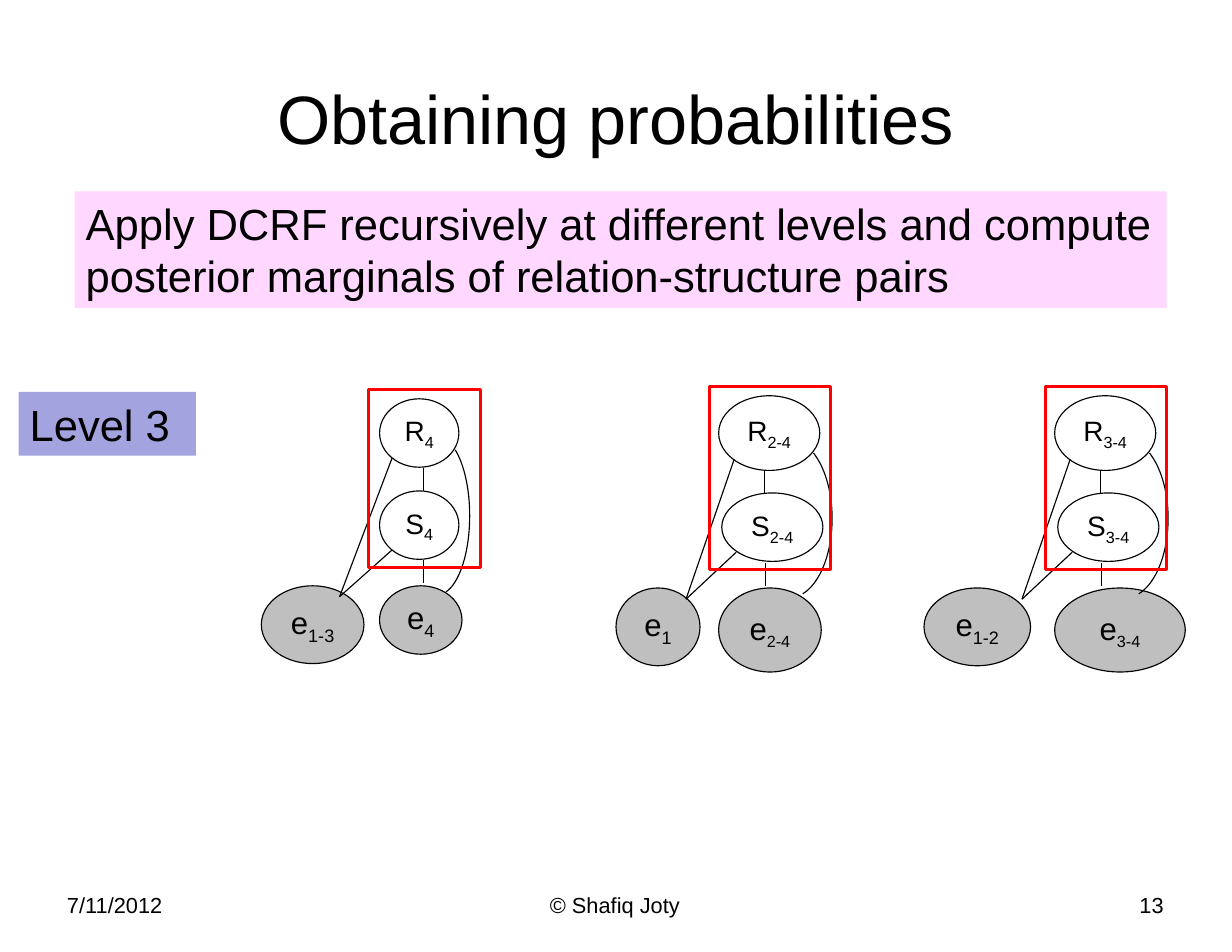
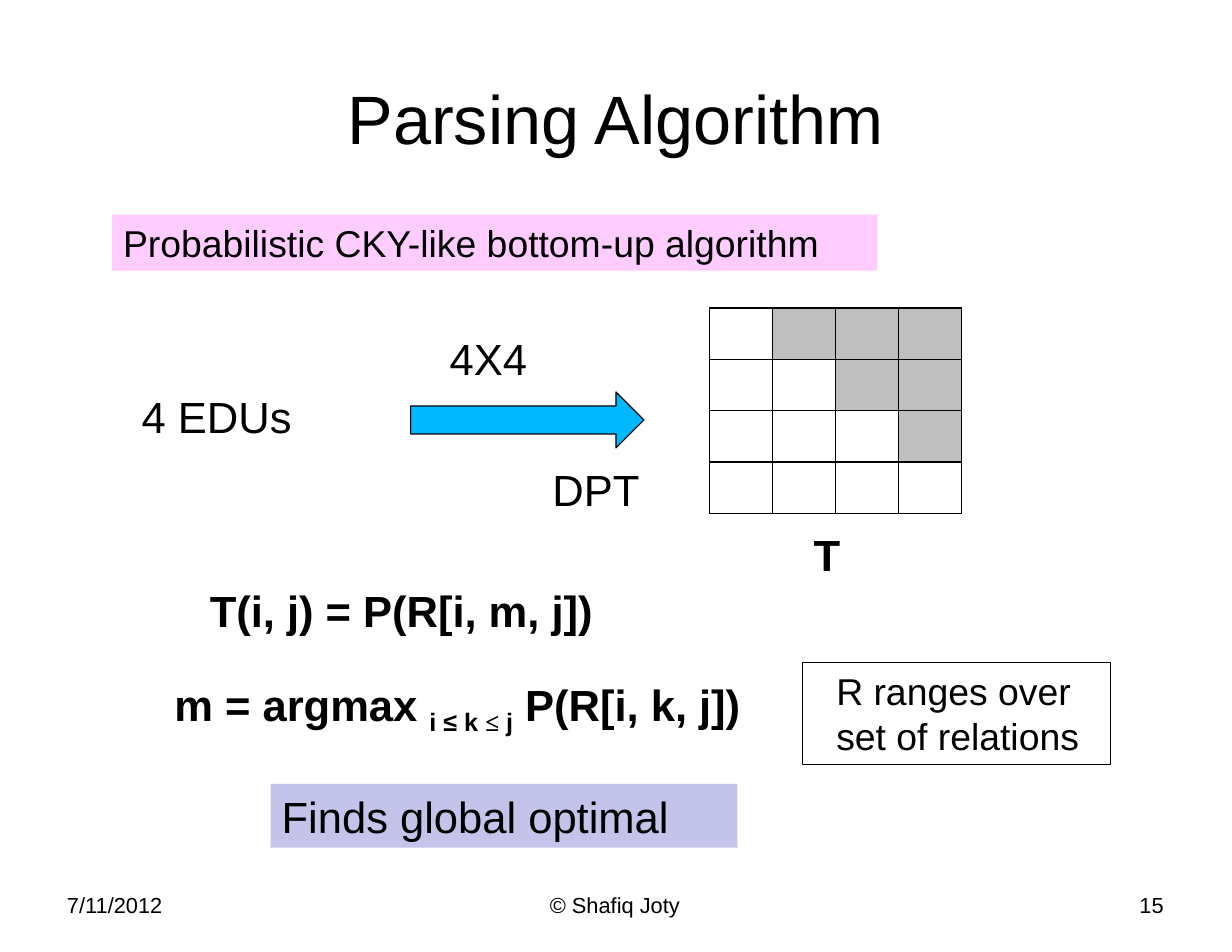
from collections import namedtuple

from lxml import etree
from pptx import Presentation
from pptx.dml.color import RGBColor
from pptx.enum import shapes, text
from pptx.oxml import ns
from pptx.util import Pt

BLACK = RGBColor(0, 0, 0)
RED = RGBColor(0xFF, 0, 0)
PINK = RGBColor(0xFF, 0xCC, 0xFF)
LILAC = RGBColor(0xA3, 0xA3, 0xE0)
GRAY = RGBColor(0xBF, 0xBF, 0xBF)
CYAN = RGBColor(0, 0xB8, 0xFF)
FONT = "Arial"
SHAPE = shapes.MSO_SHAPE
LEFT, MID, RIGHT = text.PP_ALIGN.LEFT, text.PP_ALIGN.CENTER, text.PP_ALIGN.RIGHT

# Parts of a graph, in points from the top left corner of its red frame.
Form = namedtuple("Form", "frame rel struct down across fork starts arc turn")
SMALL = Form(
    frame=(72, 114), rel=(7, 5.8, 51, 44), struct=(7, 65, 51, 44),
    down=(35, 50.4), across=(35, 109.5), fork=(-18.7, 133),
    starts=((15, 103), (15, 44)), arc=(23, 30, 42, 102), turn=(171.24, 49.92))
LARGE = Form(
    frame=(78, 118), rel=(6, 6, 65, 48), struct=(8, 68.5, 65, 44),
    down=(35.3, 54), across=(36, 113.8), fork=(-15, 136.8),
    starts=((17.3, 106.6), (16, 46.8)), arc=(24, 34, 55, 102), turn=(174.14, 47.94))


def child(parent, tag, **attrs):
    return etree.SubElement(parent, ns.qn(tag), attrs)


def shift(rect, x, y):
    """Moves a rectangle or point by x, y."""
    return (rect[0] + x, rect[1] + y, *rect[2:])


def style(para, size, align=LEFT, bold=False):
    para.alignment = align
    font = para.font
    font.name, font.size, font.bold = FONT, Pt(size), bold
    font.color.rgb = BLACK


def write(para, runs):
    """Adds runs given as (text, is subscript, font or size overrides)."""
    for words, sub, *more in runs:
        run = para.add_run()
        run.text = words
        if sub:
            run._r.get_or_add_rPr().set("baseline", "-25000")
        for item in more:
            if isinstance(item, str):
                run.font.name = item
            else:
                run.font.size = Pt(item)


def shape(slide, kind, rect, fill=None, line=None, width=0.75, alpha=None):
    item = slide.shapes.add_shape(kind, *map(Pt, rect))
    item.shadow.inherit = False
    if fill is None:
        item.fill.background()
    else:
        item.fill.solid()
        item.fill.fore_color.rgb = fill
        if alpha:
            tint = item._element.spPr.find(".//" + ns.qn("a:srgbClr"))
            child(tint, "a:alpha", val=str(alpha * 1000))
    if line is None:
        item.line.fill.background()
    else:
        item.line.color.rgb = line
        item.line.width = Pt(width)
    return item


def label(slide, rect, runs, size=28, align=LEFT, bold=False, inset=7.2, **look):
    """Adds a text box, or a rectangle when fill or line is given."""
    if isinstance(runs, str):
        runs = [(runs, False)]
    if look:
        item = shape(slide, SHAPE.RECTANGLE, rect, **look)
    else:
        item = slide.shapes.add_textbox(*map(Pt, rect))
    frame = item.text_frame
    frame.word_wrap = True
    frame.margin_left = Pt(inset)
    frame.vertical_anchor = text.MSO_ANCHOR.TOP
    para = frame.paragraphs[0]
    style(para, size, align, bold)
    write(para, runs)


def node(slide, rect, name, sub, size, fill=None, small=None):
    item = shape(slide, SHAPE.OVAL, rect, fill, BLACK)
    frame = item.text_frame
    frame.word_wrap = False
    frame.vertical_anchor = text.MSO_ANCHOR.MIDDLE
    para = frame.paragraphs[0]
    style(para, size, MID)
    write(para, [(name, False), (sub, True, small or size)])


def edge(slide, start, end):
    line = slide.shapes.add_connector(
        shapes.MSO_CONNECTOR.STRAIGHT, *map(Pt, start + end))
    line.line.color.rgb = BLACK
    line.line.width = Pt(0.75)
    child(line._element.spPr, "a:effectLst")


def graph(slide, x, y, form, spans, leaves, small):
    """Draws a DCRF graph; leaves are the rectangles of its two e nodes."""
    def at(rect):
        return shift(rect, x, y)

    for leaf, span, size in zip(leaves, spans, (20, small)):
        node(slide, at(leaf), "e", span, 20, GRAY, size)
    for start in form.starts:
        edge(slide, at(start), at(form.fork))
    for start in (form.down, form.across):
        edge(slide, at(start), at(shift(start, 0, 14.4)))
    node(slide, at(form.struct), "S", spans[1], 18)
    node(slide, at(form.rel), "R", spans[1], 18)
    arc = shape(slide, SHAPE.ARC, at(form.arc), line=BLACK)
    arc.adjustments[0], arc.adjustments[1] = form.turn
    shape(slide, SHAPE.RECTANGLE, (x, y, *form.frame), line=RED, width=2)


def chart(slide, x, y, wide, high, count):
    """Draws the square table T with its upper triangle shaded."""
    grid = slide.shapes.add_table(count, count, *map(Pt, (x, y, wide, high))).table
    grid.first_row = grid.horz_banding = False
    for col in grid.columns:
        col.width = Pt(wide / count)
    for i, row in enumerate(grid.rows):
        row.height = Pt(high / count)
        for j, cell in enumerate(row.cells):
            props = cell._tc.get_or_add_tcPr()
            for side in "LRTB":
                line = child(props, "a:ln" + side, w=str(Pt(1)))
                child(child(line, "a:solidFill"), "a:srgbClr", val=str(BLACK))
            if j > i:
                cell.fill.solid()
                cell.fill.fore_color.rgb = GRAY
            else:
                cell.fill.background()


def start(deck, title, number):
    """Adds a slide with its title and footer."""
    slide = deck.slides.add_slide(deck.slide_layouts[5])
    head = slide.shapes.title
    head.left, head.top, head.width, head.height = map(Pt, (39.6, 24.5, 712.8, 102.2))
    head.text_frame.text = title
    head.text_frame.vertical_anchor = text.MSO_ANCHOR.MIDDLE
    style(head.text_frame.paragraphs[0], 44, MID)
    for x, wide, words, align in ((36, 185, "7/11/2012", LEFT),
                                  (270, 250.6, "© Shafiq Joty", MID),
                                  (570.2, 185, str(number), RIGHT)):
        label(slide, (x, 569.5, wide, 42.5), words, 14, align)
    return slide


def levels(deck):
    slide = start(deck, "Obtaining probabilities", 13)
    label(slide, (48, 123, 702, 75),
          "Apply DCRF recursively at different levels and compute "
          "posterior marginals of relation-structure pairs", fill=PINK, alpha=78)
    label(slide, (12, 252, 114, 41), "Level 3", fill=LILAC)
    graph(slide, 237, 250.6, SMALL, ("1-3", "4"),
          ((-69, 126, 66, 50), (7, 126, 53, 44)), 20)
    graph(slide, 456, 248.4, LARGE, ("1", "2-4"),
          ((-60, 129.6, 54, 50), (6, 129.6, 66, 54)), 18)
    graph(slide, 672, 248.4, LARGE, ("1-2", "3-4"),
          ((-78, 129.6, 68.5, 50), (6, 129.6, 84, 54)), 18)


def parsing(deck):
    slide = start(deck, "Parsing Algorithm", 15)
    label(slide, (72, 138, 492, 36), "Probabilistic CKY-like bottom-up algorithm",
          24, fill=PINK)
    chart(slide, 456, 198, 162, 132, 4)
    label(slide, (84, 247, 132, 41), "4 EDUs")
    shape(slide, SHAPE.RIGHT_ARROW, (264, 252, 150, 36), CYAN, BLACK)
    label(slide, (282, 210, 78, 41), "4Х4")
    label(slide, (348, 294, 96, 41), "DPT")
    label(slide, (516, 336, 36, 41), "T", bold=True)
    label(slide, (84, 372, 348, 41), "T(i, j) = P(R[i, m, j])", align=MID, bold=True)
    label(slide, (84, 432, 420, 41),
          [("m = argmax ", False), ("i ≤ k ", True), ("≤", True, "Times New Roman"),
           (" j", True), (" P(R[i, k, j])", False)], align=MID, bold=True)
    label(slide, (516, 426, 198, 65.5), "R ranges over set of relations", 24,
          inset=21.6, line=BLACK)
    label(slide, (174, 504, 300, 41), "Finds global optimal", fill=LILAC, alpha=64)


def main():
    deck = Presentation()
    deck.slide_width, deck.slide_height = Pt(792), Pt(612)
    levels(deck)
    parsing(deck)
    deck.save("out.pptx")


if __name__ == "__main__":
    main()
